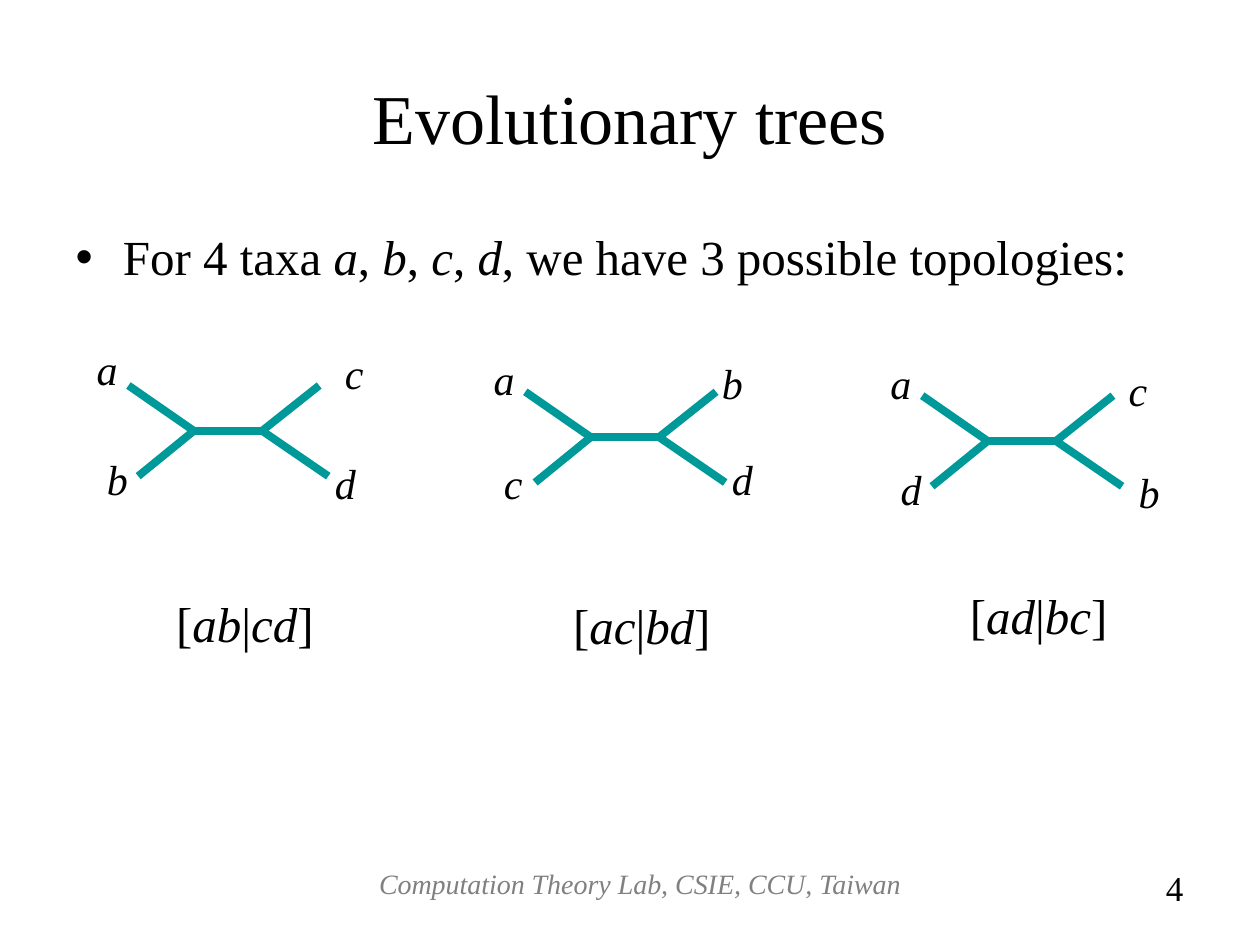
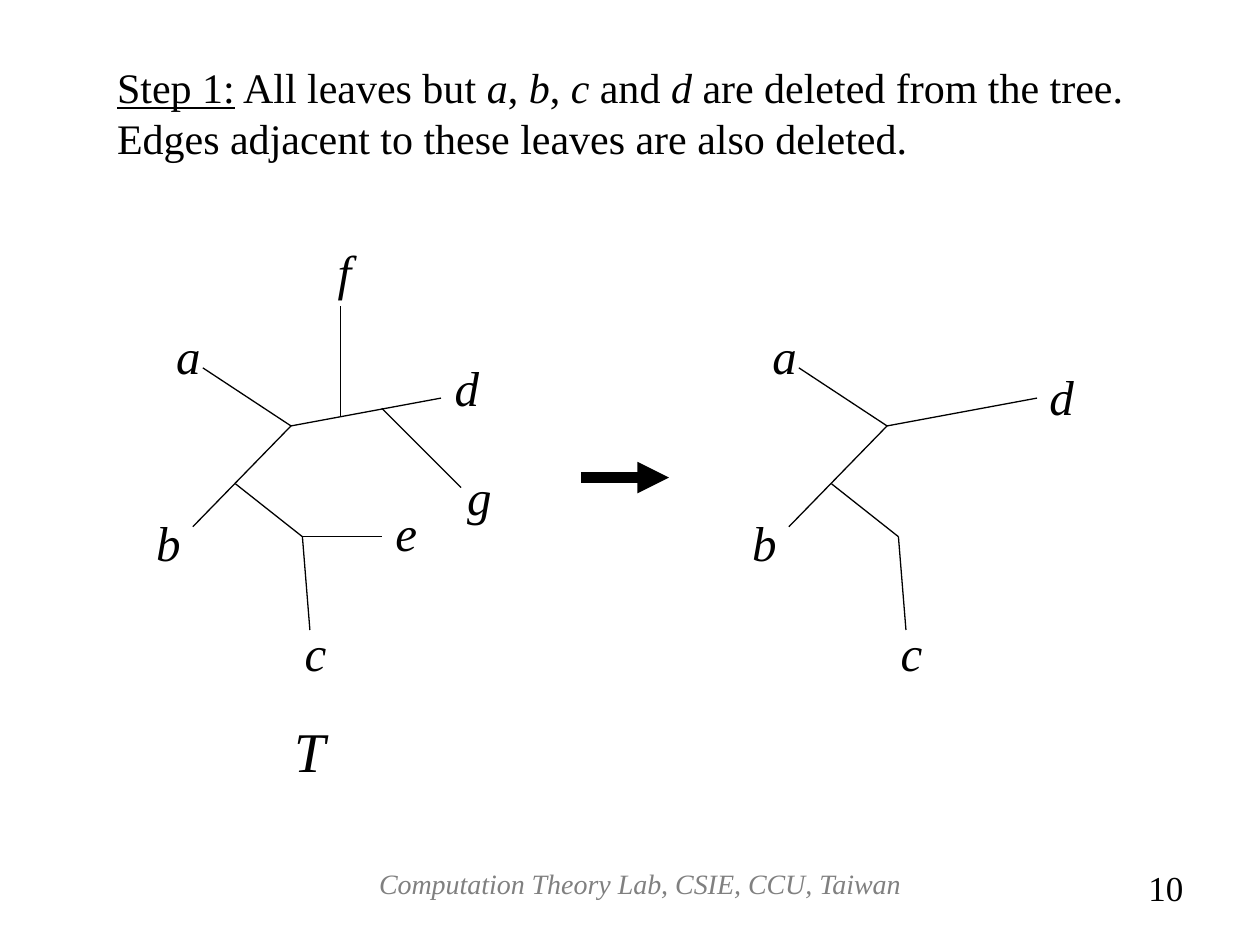
"""Build two slides on evolutionary trees and the deletion of leaves."""
from pptx import Presentation
from pptx.dml.color import RGBColor
from pptx.enum.shapes import MSO_CONNECTOR
from pptx.enum.text import MSO_ANCHOR, PP_ALIGN
from pptx.oxml.ns import qn
from pptx.util import Pt
from lxml import etree

LINE = MSO_CONNECTOR.STRAIGHT
LEFT, CENTER, RIGHT = PP_ALIGN.LEFT, PP_ALIGN.CENTER, PP_ALIGN.RIGHT
FONT = "Times New Roman"
BLACK, GRAY, TEAL = "000000", "808080", "009999"
FOOTER = "Computation Theory Lab, CSIE, CCU, Taiwan"

QUARTET_STEP = 226.8
QUARTET_TIPS = [(0, 0), (5.6, 51.8), (109, 0), (114.2, 51.8)]
QUARTET_FORKS = [(37.4, 25.9), (76.4, 25.9)]
QUARTETS = [
    (220.3, "[*ab*|*cd*]", 335.5,
     {"a": (48.2, 193), "b": (54, 255.6), "c": (190, 195), "d": (184.3, 257.8)}),
    (223.9, "[*ac*|*bd*]", 337,
     {"a": (48.2, 198.7), "c": (54, 257.8), "b": (178.6, 200.9), "d": (184.3, 255.6)}),
    (226.1, "[*ad*|*bc*]", 331.2,
     {"a": (48.2, 200.9), "d": (54, 261.4), "c": (184.3, 204.5), "b": (190, 262.8)}),
]

FORK, B_FORK, C_FORK = (166.3, 243.4), (134.6, 276.5), (172.8, 306.7)
KEPT_EDGES = [
    ((115.9, 210.2), FORK), ((110.2, 301), FORK), (B_FORK, C_FORK),
    (FORK, (252, 227.5)), (C_FORK, (177.1, 360)),
]
DELETED_EDGES = [
    (C_FORK, (218.2, 306.7)), ((194.4, 237.6), (194.4, 175)),
    ((218.2, 233.3), (263.5, 278.6)),
]
KEPT_LABELS = {"a": (93.6, 182.2), "b": (82.1, 289.4), "c": (167, 352.1)}
FULL_LABELS = {**KEPT_LABELS, "d": (252.7, 200.9), "e": (218.9, 283.7),
               "f": (185.8, 134.6), "g": (259.9, 262.8)}
PRUNED_LABELS = {**KEPT_LABELS, "d": (252, 205.9)}
PRUNED_SHIFT = 340.6


def rgb(value):
    return RGBColor.from_string(value)


def mix(text):
    """Split text at asterisks into plain and italic runs."""
    return [(part, {"italic": i % 2 == 1})
            for i, part in enumerate(text.split("*")) if part]


def write(tf, runs, size, color=BLACK, align=LEFT):
    p = tf.paragraphs[0]
    p.alignment, p.space_before = align, Pt(0)
    for text, fmt in runs:
        r = p.add_run()
        r.text = text
        for name, value in {"name": FONT, "size": Pt(size), **fmt}.items():
            setattr(r.font, name, value)
        r.font.color.rgb = rgb(color)


def place(sp, x, y, w, h):
    for name, value in {"left": x, "top": y, "width": w, "height": h}.items():
        setattr(sp, name, Pt(value))


def add_text(shapes, box, runs, size, **style):
    tf = shapes.add_textbox(*map(Pt, box)).text_frame
    tf.word_wrap = True
    write(tf, runs, size, **style)


def add_line(shapes, start, end, color=BLACK, width=0.75, arrow=False):
    s = shapes.add_connector(LINE, *map(Pt, (*start, *end)))
    s.line.color.rgb, s.line.width = rgb(color), Pt(width)
    if arrow:
        etree.SubElement(s.line._get_or_add_ln(), qn("a:tailEnd"), type="triangle")
    etree.SubElement(s._element.spPr, qn("a:effectLst"))


def add_labels(shapes, labels, dx, w, h, size):
    for name, (x, y) in labels.items():
        add_text(shapes, (x + dx, y, w, h), mix(f"*{name}*"), size)


def add_footer(slide, number):
    add_text(slide.shapes, (172.8, 491.8, 385.9, 37.4), mix(f"*{FOOTER}*"), 16,
             color=GRAY, align=CENTER)
    add_text(slide.shapes, (575.3, 491.8, 108, 37.4), mix(str(number)), 20, align=RIGHT)


def add_quartet(shapes, dx, y, caption, caption_y, labels):
    """Draw a four-leaf tree with its labels and its split notation."""
    tips, forks = ([(73.4 + dx + px, y + py) for px, py in points]
                   for points in (QUARTET_TIPS, QUARTET_FORKS))
    for i, tip in enumerate(tips):
        add_line(shapes, tip, forks[i // 2], TEAL, 4.5)
    add_line(shapes, *forks, TEAL, 4.5)
    add_labels(shapes, labels, dx, 33.8, 36, 24)
    add_text(shapes, (93.6 + dx, caption_y, 108, 41), mix(caption), 28)


def add_tree(slide, edges, labels, dx=0):
    """Draw a grouped tree, moved right by dx, and return its shapes."""
    shapes = slide.shapes.add_group_shape().shapes
    for edge in edges:
        add_line(shapes, *((x + dx, y) for x, y in edge))
    add_labels(shapes, labels, dx, 22.3, 41, 28)
    return shapes


def build_topologies(prs):
    slide = prs.slides.add_slide(prs.slide_layouts[1])
    title, body = slide.placeholders
    place(title, 36, 21.6, 648, 90)
    title.text_frame.vertical_anchor = MSO_ANCHOR.MIDDLE
    write(title.text_frame, mix("Evolutionary trees"), 40, align=CENTER)
    place(body, 36, 126, 648, 356.4)
    write(body.text_frame,
          mix("For 4 taxa *a*, *b*, *c*, *d*, we have 3 possible topologies:"), 28)
    for i, quartet in enumerate(QUARTETS):
        add_quartet(slide.shapes, i * QUARTET_STEP, *quartet)
    add_footer(slide, 4)


def build_deletion(prs):
    slide = prs.slides.add_slide(prs.slide_layouts[6])
    add_tree(slide, KEPT_EDGES, PRUNED_LABELS, PRUNED_SHIFT)
    full = add_tree(slide, KEPT_EDGES + DELETED_EDGES, FULL_LABELS)
    add_text(full, (161.3, 406.1, 39.6, 46), mix("*T*"), 32)
    add_line(slide.shapes, (331.9, 272.9), (382.3, 272.9), width=6, arrow=True)
    step = [("Step 1:", {"underline": True})] + mix(
        " All leaves but *a*, *b*, *c* and *d* are deleted from the tree. "
        "Edges adjacent to these leaves are also deleted.")
    add_text(slide.shapes, (59.8, 31.7, 612.7, 64.8), step, 24)
    add_footer(slide, 10)


def main():
    prs = Presentation()
    prs.slide_width, prs.slide_height = Pt(720), Pt(540)
    build_topologies(prs)
    build_deletion(prs)
    prs.save("out.pptx")


if __name__ == "__main__":
    main()
